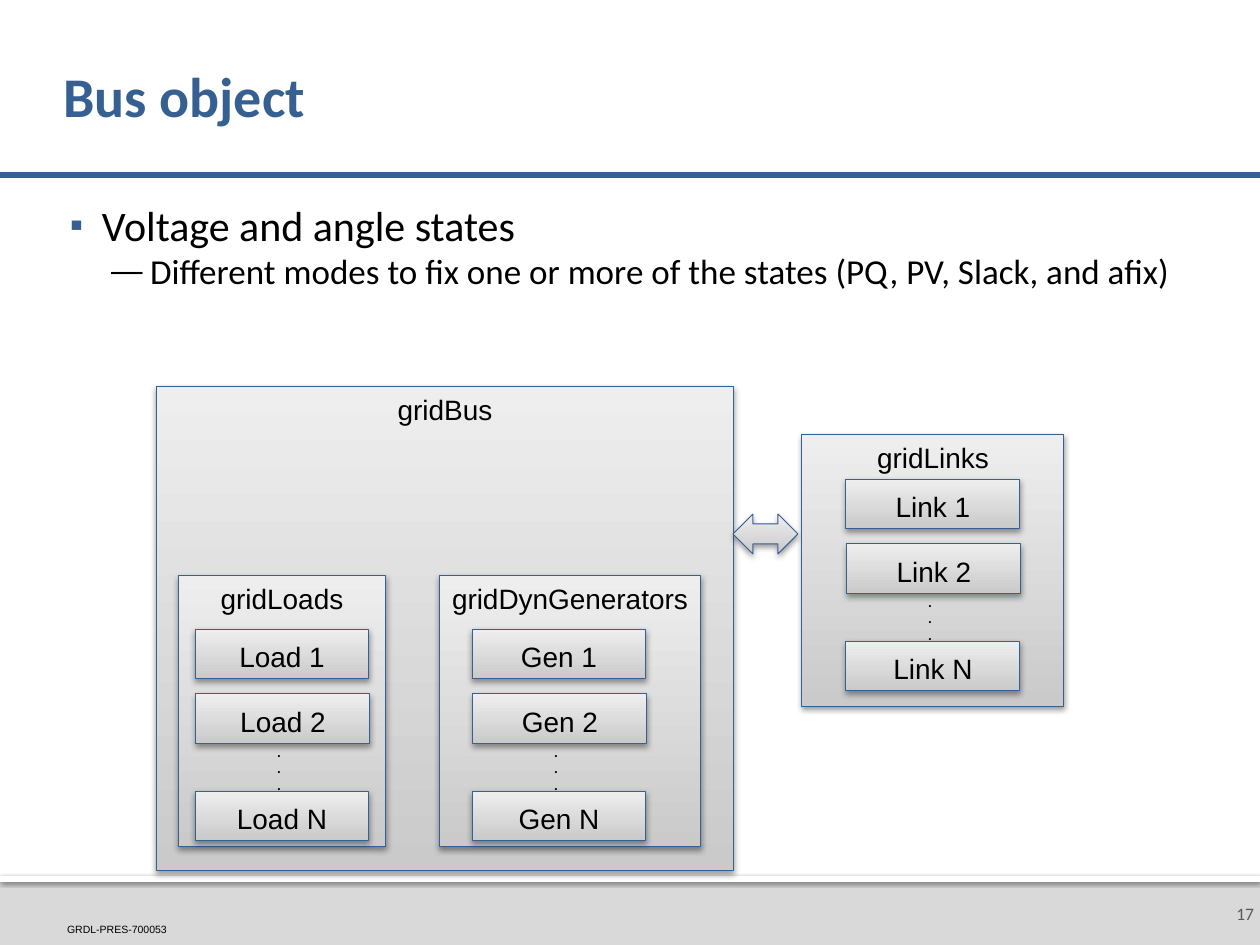
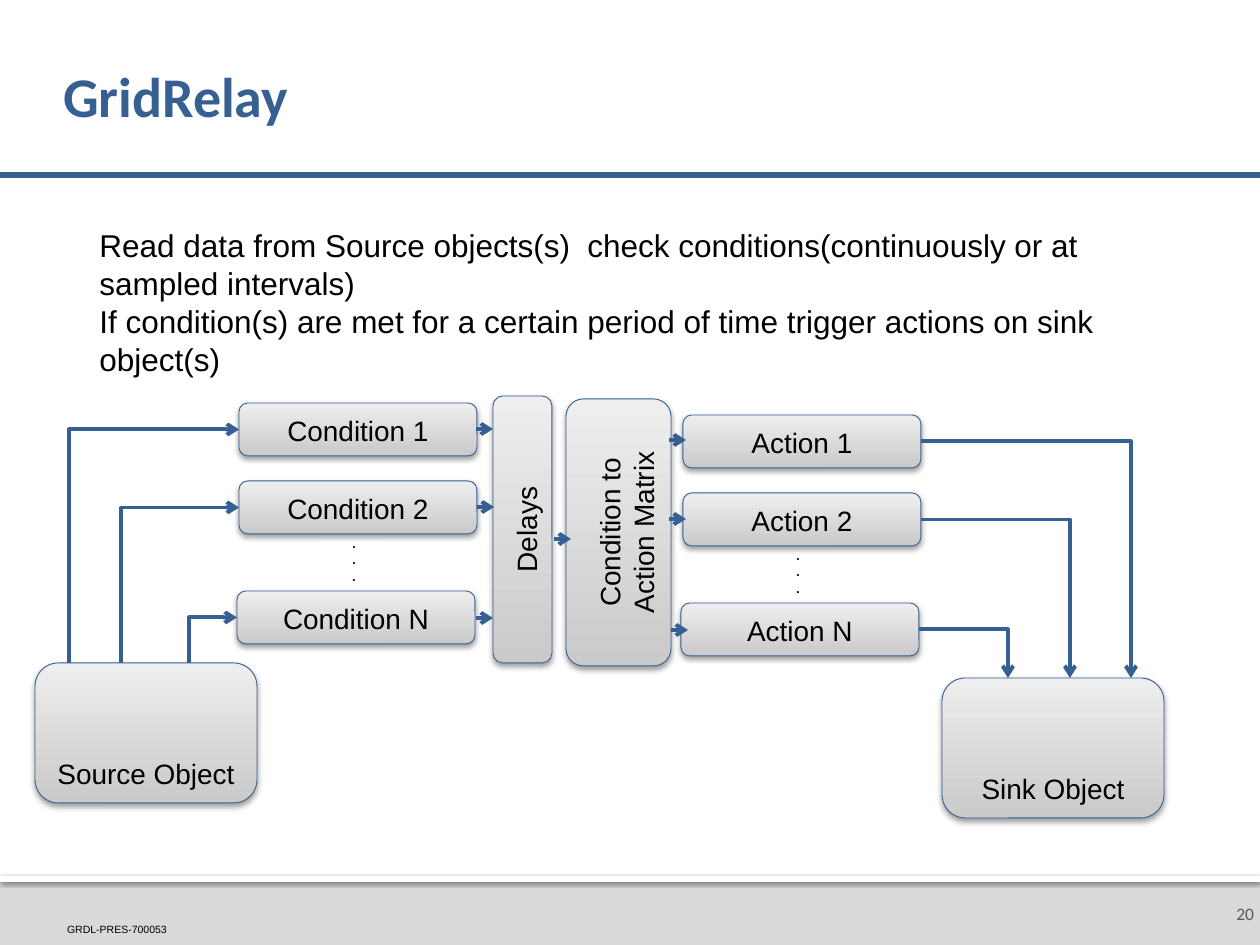
from lxml import etree
from pptx import Presentation
from pptx.dml.color import RGBColor
from pptx.enum.shapes import MSO_CONNECTOR, MSO_SHAPE
from pptx.enum.text import MSO_ANCHOR, MSO_AUTO_SIZE, PP_ALIGN
from pptx.oxml.ns import qn
from pptx.util import Emu, Pt

RECT, ROUND = MSO_SHAPE.RECTANGLE, MSO_SHAPE.ROUNDED_RECTANGLE
DOUBLE_ARROW = MSO_SHAPE.LEFT_RIGHT_ARROW
STRAIGHT, ELBOW = MSO_CONNECTOR.STRAIGHT, MSO_CONNECTOR.ELBOW
TOP, MIDDLE, BOTTOM = MSO_ANCHOR.TOP, MSO_ANCHOR.MIDDLE, MSO_ANCHOR.BOTTOM
LEFT, CENTER, RIGHT = PP_ALIGN.LEFT, PP_ALIGN.CENTER, PP_ALIGN.RIGHT
LEFT_SITE, RIGHT_SITE = 1, 3
EMU_PER_PX = 914400 / 126
WIDTH, HEIGHT = 1260, 945

BLUE, BLACK, WHITE = "376092", "000000", "FFFFFF"
BAND, NUMBER_GREY = "D9D9D9", "595959"
BOX_BOTTOM, BOX_TOP = "CACACA", "EEEEEE"
HEADING_FONT, LABEL_FONT, DOT_FONT = "Calibri", "Arial", "Lato"

FOOTER = "GRDL-PRES-700053"
DOTS = [".", ".", "."]

BUS_TITLE, BUS_NUMBER = "Bus object", "17"
BUS_POINTS = [
    ("Voltage and angle states", 24, "▪", BLUE, 39, -32, 18),
    ("Different modes to fix one or more of the states (PQ, PV, Slack, and afix)",
     20, "—", BLACK, 87, -39, 0),
]
BUS_BOX = (156, 386, 578, 485)
LINK_ARROW = (733, 514, 65, 40)
PANELS = [
    ("gridLoads", (178, 575, 208, 272), "Load", 195, 629),
    ("gridDynGenerators", (439, 575, 262, 272), "Gen", 472, 629),
    ("gridLinks", (802, 434, 262, 272), "Link", 846, 479),
]
ITEM_STEPS = [("1", 0, 0), ("2", 1, 65), ("N", 0, 162)]
ITEM_SIZE = (174, 50)

RELAY_TITLE, RELAY_NUMBER = "GridRelay", "20"
RELAY_TEXT = [
    "Read data from Source objects(s)  check conditions(continuously or at sampled intervals)",
    "If condition(s) are met for a certain period of time trigger actions on sink object(s)",
]
SOURCE = ("Source Object", (35, 663, 222, 140))
SINK = ("Sink Object", (942, 678, 222, 140))
STAGE_STEPS = [("1", 0, 0), ("2", 0, 78), ("N", -2, 188)]
STAGE_SIZE = (238, 53)
CONDITIONS = ("Condition", 239, 403)
ACTIONS = ("Action", 683, 415)
SOURCE_EXITS = [69, 121, 189]
SINK_ENTRIES = [1131, 1070, 1008]
COLUMNS = [("Delays", (493, 396, 59, 267)),
           ("Condition to Action Matrix", (566, 399, 105, 267))]
SHORT_ARROWS = [(476, 429), (477, 507), (476, 618), (554, 539),
                (669, 440), (669, 519), (671, 630)]
SHORT_ARROW_LENGTH = 17


def px(value):
    return Emu(round(value * EMU_PER_PX))


def px_all(values):
    return [px(value) for value in values]


def rgb(color):
    return RGBColor.from_string(color)


def set_xml(parent, tag, **attributes):
    return etree.SubElement(parent, qn(tag), attributes)


def write(shape, lines, size, font=LABEL_FONT, color=BLACK, bold=False,
          align=LEFT, anchor=TOP, margins=None):
    frame = shape.text_frame
    frame.word_wrap = True
    frame.vertical_anchor = anchor
    if margins:
        (frame.margin_left, frame.margin_top,
         frame.margin_right, frame.margin_bottom) = px_all(margins)
    frame.text = "\n".join(lines)
    for paragraph in frame.paragraphs:
        paragraph.alignment = align
        for run in paragraph.runs:
            run.font.size = Pt(size)
            run.font.name = font
            run.font.bold = bold
            run.font.color.rgb = rgb(color)
    return frame


def add_text(shapes, bounds, lines, size, **style):
    label = shapes.add_textbox(*px_all(bounds))
    write(label, lines, size, **style)
    return label


def add_dots(shapes, left, top):
    add_text(shapes, (left, top, 37, 63), DOTS, 8, font=DOT_FONT, bold=True)


def add_shadow(shape, opacity, blur, distance):
    shape.shadow.inherit = False
    effects = shape.element.spPr.find(qn("a:effectLst"))
    shadow = set_xml(effects, "a:outerShdw", blurRad=str(Pt(blur)), dist=str(Pt(distance)),
                     dir="5400000", rotWithShape="0")
    tint = set_xml(shadow, "a:srgbClr", val=BLACK)
    set_xml(tint, "a:alpha", val=str(opacity * 1000))


def add_box(shapes, bounds, label="", kind=RECT, anchor=TOP):
    box = shapes.add_shape(kind, *px_all(bounds))
    box.fill.gradient()
    box.fill.gradient_angle = 90
    for stop, color in zip(box.fill.gradient_stops, (BOX_BOTTOM, BOX_TOP)):
        stop.color.rgb = rgb(color)
    box.line.color.rgb = rgb(BLUE)
    box.line.width = Pt(0.5)
    add_shadow(box, 38, 3.5, 2)
    if label:
        write(box, [label], 16, align=CENTER, anchor=anchor)
    return box


def add_series(shapes, name, left, top, steps, size, kind):
    return [add_box(shapes, (left + dx, top + dy, *size), f"{name} {suffix}", kind, BOTTOM)
            for suffix, dx, dy in steps]


def add_line(shapes, start, end, width, kind=STRAIGHT, arrow=True):
    line = shapes.add_connector(kind, *px_all((*start, *end)))
    line.line.color.rgb = rgb(BLUE)
    line.line.width = Pt(width)
    properties = line.element.spPr
    if arrow:
        set_xml(properties.find(qn("a:ln")), "a:tailEnd", type="arrow")
    set_xml(properties, "a:effectLst")
    return line


def add_elbow(shapes, start, end):
    elbow = add_line(shapes, start, end, 2.25, ELBOW)
    elbow.element.spPr.find(qn("a:prstGeom")).set("prst", "bentConnector2")
    return elbow


def add_source_elbow(shapes, start, condition, end):
    elbow = add_elbow(shapes, start, end)
    elbow.end_connect(condition, LEFT_SITE)
    across, up = end[0] - start[0], start[1] - end[1]
    middle_x, middle_y = (start[0] + end[0]) / 2, (start[1] + end[1]) / 2
    elbow.left, elbow.top = px(middle_x - up / 2), px(middle_y - across / 2)
    elbow.width, elbow.height = px(up), px(across)
    turn = elbow.element.spPr.find(qn("a:xfrm"))
    for name, value in (("rot", "5400000"), ("flipH", "1"), ("flipV", "1")):
        turn.set(name, value)


def add_plain_band(shapes, bounds, color):
    band = shapes.add_shape(RECT, *px_all(bounds))
    band.fill.solid()
    band.fill.fore_color.rgb = rgb(color)
    band.line.fill.background()
    band.shadow.inherit = False
    return band


def furnish_master(master, slide):
    shapes = slide.shapes
    footer_band = add_plain_band(shapes, (0, 876, WIDTH, 69), BAND)
    edge = add_plain_band(shapes, (0, 876, WIDTH, 6), WHITE)
    add_shadow(edge, 60, 2.5, 0.8)
    footer = add_text(shapes, (67, 924, 121, 12), [FOOTER], 6,
                      anchor=BOTTOM, margins=(0, 0, 0, 0))
    rule = add_line(shapes, (-1, 175), (WIDTH, 175), 3, arrow=False)
    for part in (footer_band, edge, footer, rule):
        master.shapes.element.append(part.element)


def set_heading(slide, title, number):
    heading = slide.shapes.title
    heading.left, heading.top, heading.width, heading.height = px_all((63, 30, 1134, 139))
    frame = write(heading, [title], 32, font=HEADING_FONT, color=BLUE, bold=True,
                  anchor=MIDDLE, margins=(0, 6, 6, 6))
    frame.auto_size = MSO_AUTO_SIZE.NONE
    frame.paragraphs[0].line_spacing = 0.9
    add_text(slide.shapes, (1216, 882, 44, 63), [number], 10, font=HEADING_FONT,
             color=NUMBER_GREY, align=RIGHT, anchor=MIDDLE, margins=(13, 6, 6, 6))


def fill_points(body, points):
    body.left, body.top, body.width, body.height = px_all((63, 199, 1134, 677))
    frame = write(body, [point[0] for point in points], 24, font=HEADING_FONT,
                  margins=(0, 0, 0, 0))
    frame.auto_size = MSO_AUTO_SIZE.NONE
    for level, (paragraph, point) in enumerate(zip(frame.paragraphs, points)):
        _, size, bullet, color, margin, indent, before = point
        paragraph.level = level
        paragraph.space_before = Pt(before)
        paragraph.runs[0].font.size = Pt(size)
        properties = paragraph._p.get_or_add_pPr()
        properties.set("marL", str(px(margin)))
        properties.set("indent", str(px(indent)))
        set_xml(set_xml(properties, "a:buClr"), "a:srgbClr", val=color)
        set_xml(properties, "a:buSzPct", val="90000")
        set_xml(properties, "a:buFont", typeface=LABEL_FONT)
        set_xml(properties, "a:buChar", char=bullet)


def build_bus(slide):
    set_heading(slide, BUS_TITLE, BUS_NUMBER)
    fill_points(slide.placeholders[1], BUS_POINTS)
    add_box(slide.shapes, BUS_BOX, "gridBus")
    add_box(slide.shapes, LINK_ARROW, kind=DOUBLE_ARROW)
    for name, bounds, item, left, top in PANELS:
        panel = slide.shapes.add_group_shape().shapes
        add_box(panel, bounds, name)
        add_series(panel, item, left, top, ITEM_STEPS, ITEM_SIZE, RECT)
        add_dots(panel, left + 70, top + 108)


def build_relay(slide):
    shapes = slide.shapes
    set_heading(slide, RELAY_TITLE, RELAY_NUMBER)
    for label, bounds in (SOURCE, SINK):
        add_box(shapes, bounds, label, ROUND, BOTTOM)
    conditions, actions = [add_series(shapes, *stage, STAGE_STEPS, STAGE_SIZE, ROUND)
                           for stage in (CONDITIONS, ACTIONS)]
    for _, left, top in (CONDITIONS, ACTIONS):
        add_dots(shapes, left + 101, top + 125)

    width, height = STAGE_SIZE
    source_top, sink_top = SOURCE[1][1], SINK[1][1]
    for (_, dx, dy), condition, exit_x in zip(STAGE_STEPS, conditions, SOURCE_EXITS):
        end = (CONDITIONS[1] + dx, CONDITIONS[2] + dy + height / 2)
        add_source_elbow(shapes, (exit_x, source_top), condition, end)
    for (_, dx, dy), action, entry_x in zip(STAGE_STEPS, actions, SINK_ENTRIES):
        start = (ACTIONS[1] + dx + width, ACTIONS[2] + dy + height / 2)
        elbow = add_elbow(shapes, start, (entry_x, sink_top))
        elbow.begin_connect(action, RIGHT_SITE)

    for label, bounds in COLUMNS:
        column = add_box(shapes, bounds, label, ROUND, BOTTOM)
        column.text_frame._txBody.bodyPr.set("vert", "vert270")
    for x, y in SHORT_ARROWS:
        add_line(shapes, (x, y), (x + SHORT_ARROW_LENGTH, y), 2.25)
    add_text(shapes, (87, 220, 1079, 165), RELAY_TEXT, 18)


def main():
    deck = Presentation()
    deck.slide_width, deck.slide_height = px(WIDTH), px(HEIGHT)
    bus = deck.slides.add_slide(deck.slide_layouts[1])
    furnish_master(deck.slide_master, bus)
    build_bus(bus)
    build_relay(deck.slides.add_slide(deck.slide_layouts[5]))
    deck.save("out.pptx")


if __name__ == "__main__":
    main()
